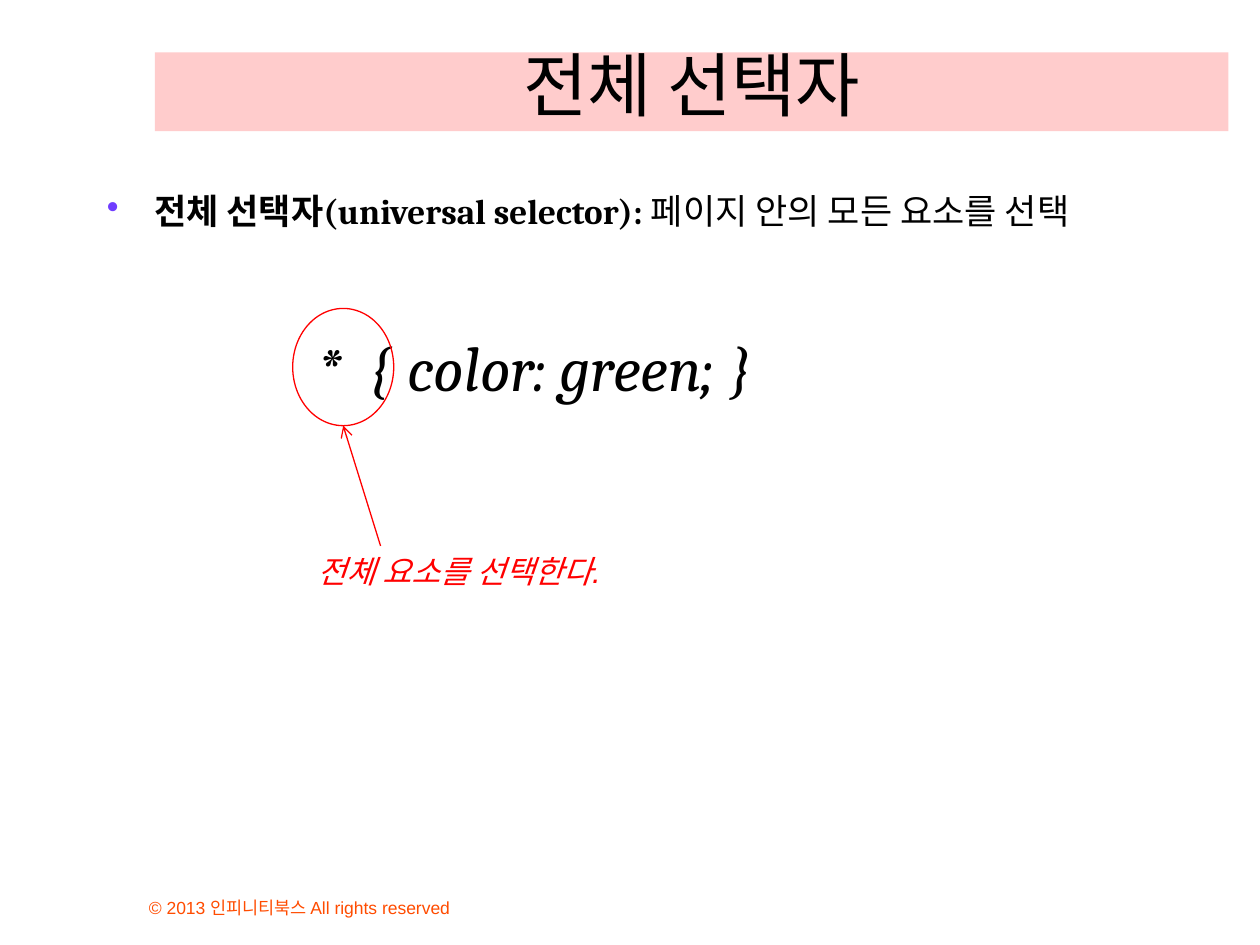
from dataclasses import dataclass

from lxml.etree import SubElement
from pptx import Presentation
from pptx.dml.color import RGBColor
from pptx.enum.shapes import MSO_CONNECTOR, MSO_SHAPE
from pptx.enum.text import MSO_ANCHOR as Anchor
from pptx.enum.text import MSO_AUTO_SIZE as AutoSize
from pptx.enum.text import PP_ALIGN as Align
from pptx.oxml.ns import qn
from pptx.util import Pt


@dataclass(frozen=True)
class Theme:
    serif: str = "Cambria"
    sans: str = "Arial"
    ink: str = "000000"
    accent: str = "FF0000"
    title_fill: str = "FFCCCC"
    bullet: str = "703DFF"
    footer: str = "FF4C00"
    title_size: float = 40
    code_size: float = 36
    body_size: float = 20
    note_size: float = 18
    footer_size: float = 10
    line_width: float = 0.75


THEME = Theme()


@dataclass(frozen=True)
class Box:
    left: float
    top: float
    width: float
    height: float

    def lengths(self) -> tuple:
        return Pt(self.left), Pt(self.top), Pt(self.width), Pt(self.height)


@dataclass(frozen=True)
class Label:
    box: Box
    spans: tuple[tuple[str, bool], ...]  # wording, bold
    size: float
    font: str = THEME.serif
    color: str = THEME.ink
    italic: bool = False
    wrap: bool = True
    anchor: Anchor = Anchor.TOP
    align: Align = Align.LEFT
    fill: str | None = None
    bullet: str | None = None


TITLE = Label(Box(88.5, 30, 613.5, 45), (("전체 선택자", False),), THEME.title_size,
              anchor=Anchor.BOTTOM, align=Align.CENTER, fill=THEME.title_fill)
DEFINITION = Label(Box(54, 105, 646.5, 327),
                   (("전체 선택자(universal selector): ", True),
                    ("페이지 안의 모든 요소를 선택", False)),
                   THEME.body_size, bullet="•")
CODE = Label(Box(174.25, 184.25, 299, 51), (("*  { color: green; }", False),),
             THEME.code_size, italic=True, wrap=False)
NOTE = Label(Box(174.25, 312, 198, 29), (("전체 요소를 선택한다.", False),),
             THEME.note_size, THEME.sans, THEME.accent, italic=True, wrap=False)
FOOTER = Label(Box(78, 498, 276, 30),
               (("© 2013 인피니티북스 All rights reserved", False),),
               THEME.footer_size, THEME.sans, THEME.footer, anchor=Anchor.BOTTOM)
RING = Box(167.25, 176.25, 57.75, 67)
ARROW_START = (217.5, 312)


def rgb(color: str) -> RGBColor:
    return RGBColor.from_string(color)


def add_bullet(para, mark: str, color: str, indent: float) -> None:
    """Give the paragraph a coloured bullet with a hanging indent."""
    props = para._p.get_or_add_pPr()
    props.set("marL", str(Pt(indent)))
    props.set("indent", str(-Pt(indent)))
    tint = SubElement(props, qn("a:buClr"))
    SubElement(tint, qn("a:srgbClr"), val=color)
    SubElement(props, qn("a:buChar"), char=mark)


def add_label(page, label: Label) -> None:
    shape = page.shapes.add_textbox(*label.box.lengths())
    if label.fill:
        shape.fill.solid()
        shape.fill.fore_color.rgb = rgb(label.fill)
    frame = shape.text_frame
    frame.word_wrap = label.wrap
    frame.auto_size = AutoSize.NONE if label.wrap else AutoSize.SHAPE_TO_FIT_TEXT
    frame.vertical_anchor = label.anchor
    para = frame.paragraphs[0]
    para.alignment = label.align
    if label.bullet:
        add_bullet(para, label.bullet, THEME.bullet, indent=27)
    para.font.name = label.font
    para.font.size = Pt(label.size)
    para.font.italic = label.italic
    para.font.color.rgb = rgb(label.color)
    for wording, bold in label.spans:
        span = para.add_run()
        span.text = wording
        span.font.bold = bold


def style_line(line) -> None:
    line.color.rgb = rgb(THEME.accent)
    line.width = Pt(THEME.line_width)


def add_ring(page, box: Box) -> None:
    ring = page.shapes.add_shape(MSO_SHAPE.OVAL, *box.lengths())
    ring.shadow.inherit = False
    ring.fill.background()
    style_line(ring.line)


def add_arrow(page, start: tuple[float, float], end: tuple[float, float]) -> None:
    points = [Pt(value) for value in (*start, *end)]
    arrow = page.shapes.add_connector(MSO_CONNECTOR.STRAIGHT, *points)
    style_line(arrow.line)
    SubElement(arrow.line._get_or_add_ln(), qn("a:tailEnd"), type="arrow")
    SubElement(arrow._element.spPr, qn("a:effectLst"))


def main() -> None:
    deck = Presentation()
    deck.slide_width, deck.slide_height = Pt(720), Pt(540)
    page = deck.slides.add_slide(deck.slide_layouts[6])
    for label in (FOOTER, TITLE, DEFINITION, CODE):
        add_label(page, label)
    add_ring(page, RING)
    add_label(page, NOTE)
    ring_foot = (RING.left + RING.width / 2, RING.top + RING.height)
    add_arrow(page, ARROW_START, ring_foot)
    deck.save("out.pptx")


if __name__ == "__main__":
    main()
